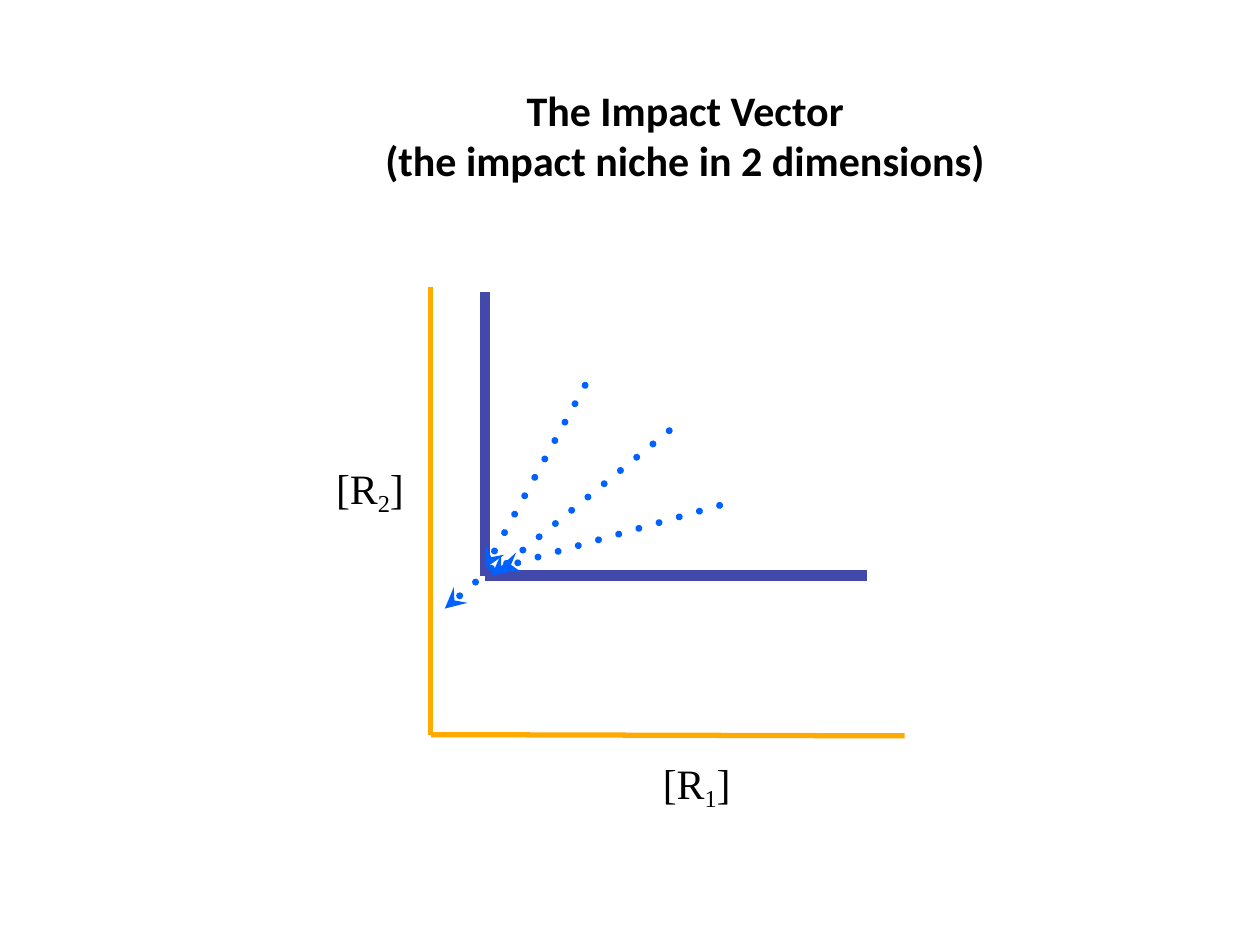
from dataclasses import dataclass

from lxml.etree import SubElement
from pptx import Presentation
from pptx.dml.color import RGBColor
from pptx.enum.shapes import MSO_CONNECTOR as Conn
from pptx.enum.text import MSO_ANCHOR as Anchor, MSO_AUTO_SIZE as AutoSize, PP_ALIGN as Align
from pptx.oxml.ns import qn
from pptx.util import Pt

AXIS, ISOCLINE, VECTOR, BLACK = "FFAA00", "4349AA", "0061FF", "000000"


@dataclass
class Line:
    x1: float
    y1: float
    x2: float
    y2: float
    color: str
    width: float
    vector: bool = False


@dataclass
class AxisLabel:
    subscript: str
    x: float
    y: float
    w: float


def rgb(color: str) -> RGBColor:
    return RGBColor.from_string(color)


def draw_line(s, line: Line) -> None:
    c = s.shapes.add_connector(Conn.STRAIGHT, Pt(line.x1), Pt(line.y1), Pt(line.x2), Pt(line.y2))
    c.line.color.rgb = rgb(line.color)
    c.line.width = Pt(line.width)
    if line.vector:
        # Round dots, with the arrowhead at the start point
        ln = c.line._get_or_add_ln()
        ln.set("cap", "rnd")
        SubElement(SubElement(ln, qn("a:custDash")), qn("a:ds"), d="100000", sp="200000")
        SubElement(ln, qn("a:round"))
        SubElement(ln, qn("a:headEnd"), type="stealth")
    SubElement(c._element.spPr, qn("a:effectLst"))


def add_run(p, text: str, *, font: str, size: float, bold: bool = False, baseline: int = 0) -> None:
    r = p.add_run()
    r.text = text
    r.font.name, r.font.size, r.font.bold = font, Pt(size), bold
    r.font.color.rgb = rgb(BLACK)
    if baseline:
        r.font._element.set("baseline", str(baseline))


def draw_title(s, lines: list[str]) -> None:
    tf = s.shapes.add_textbox(Pt(211), Pt(44.6), Pt(361), Pt(65.5)).text_frame
    tf.word_wrap = False
    tf.auto_size = AutoSize.SHAPE_TO_FIT_TEXT
    for i, text in enumerate(lines):
        p = tf.add_paragraph() if i else tf.paragraphs[0]
        p.alignment = Align.CENTER
        add_run(p, text, font="Calibri", size=24, bold=True)


def draw_axis_label(s, label: AxisLabel) -> None:
    tf = s.shapes.add_textbox(Pt(label.x), Pt(label.y), Pt(label.w), Pt(34.6)).text_frame
    tf.word_wrap = True
    tf.auto_size = AutoSize.SHAPE_TO_FIT_TEXT
    tf.vertical_anchor = Anchor.MIDDLE
    tf.margin_left = tf.margin_right = tf.margin_top = tf.margin_bottom = Pt(2.9)
    p = tf.paragraphs[0]
    p.alignment = Align.CENTER
    for text, baseline in (("[R", 0), (label.subscript, -19000), ("]", 0)):
        add_run(p, text, font="Times New Roman", size=23.9, baseline=baseline)


LINES = [
    # Resource axes
    Line(246.2, 419.8, 246.2, 164.2, AXIS, 3),
    Line(246.2, 419.8, 517, 420.5, AXIS, 3),
    # Zero-growth isocline
    Line(277.2, 329, 277.2, 167, ISOCLINE, 6),
    Line(277.2, 329, 495.4, 329, ISOCLINE, 6),
    # Impact vectors
    Line(254.2, 347.8, 285.1, 321.1, VECTOR, 4, True),
    Line(280.8, 329, 390.2, 239.8, VECTOR, 4, True),
    Line(277.2, 324.7, 339.8, 210.2, VECTOR, 4, True),
    Line(285.1, 324.7, 414, 288, VECTOR, 4, True),
]
LABELS = [AxisLabel("1", 339.8, 431.3, 116.6), AxisLabel("2", 157, 262.8, 108.7)]


def main() -> None:
    prs = Presentation()
    prs.slide_width, prs.slide_height = Pt(720), Pt(540)
    s = prs.slides.add_slide(prs.slide_layouts[6])
    draw_title(s, ["The Impact Vector", "(the impact niche in 2 dimensions)"])
    for line in LINES:
        draw_line(s, line)
    for label in LABELS:
        draw_axis_label(s, label)
    prs.save("out.pptx")


if __name__ == "__main__":
    main()
